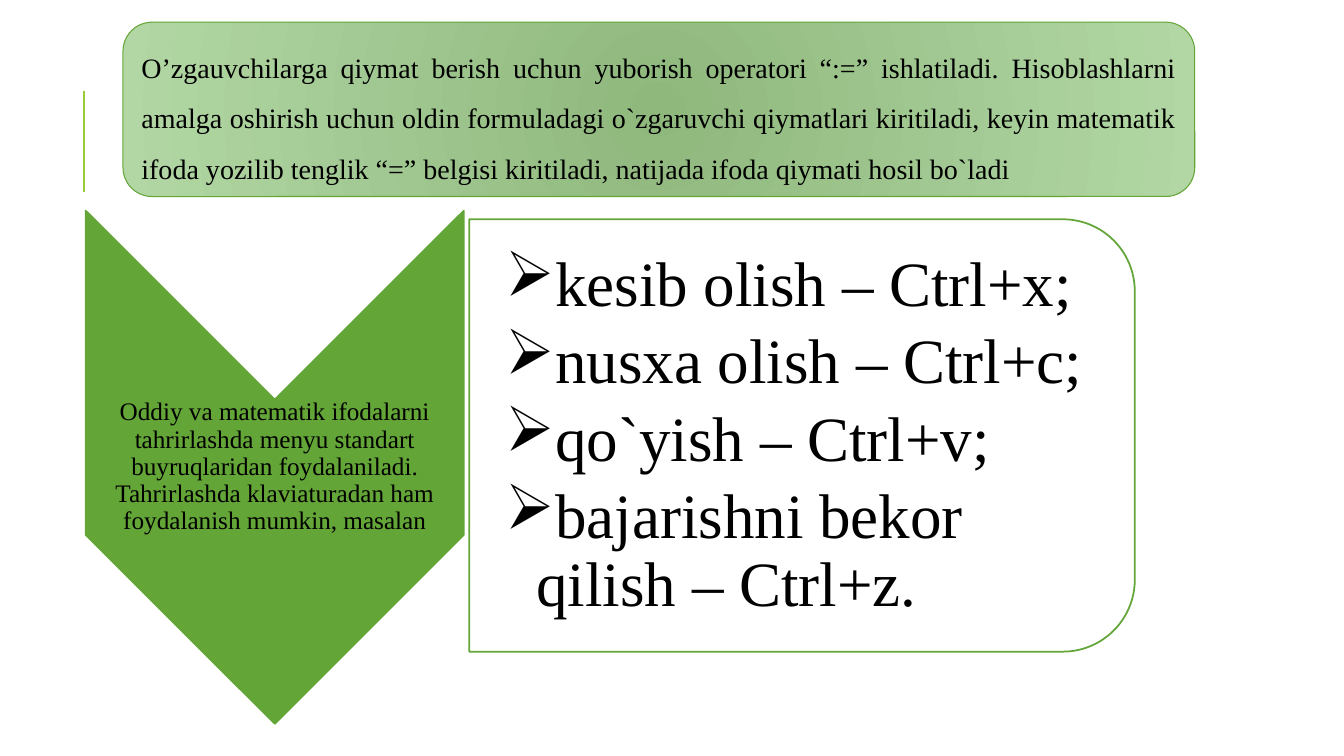
from dataclasses import dataclass

from lxml import etree
from pptx import Presentation
from pptx.dml.color import RGBColor
from pptx.enum.shapes import MSO_CONNECTOR, MSO_SHAPE
from pptx.enum.text import MSO_ANCHOR, PP_ALIGN
from pptx.oxml import parse_xml
from pptx.oxml.ns import nsdecls, qn
from pptx.util import Inches, Pt

STRAIGHT = MSO_CONNECTOR.STRAIGHT
CHEVRON = MSO_SHAPE.CHEVRON
ROUND_TOP = MSO_SHAPE.ROUND_2_SAME_RECTANGLE
ROUNDED = MSO_SHAPE.ROUNDED_RECTANGLE
MIDDLE = MSO_ANCHOR.MIDDLE
CENTER, JUSTIFY, LEFT = PP_ALIGN.CENTER, PP_ALIGN.JUSTIFY, PP_ALIGN.LEFT


@dataclass(frozen=True)
class Theme:
    """Colours, font and type sizes of the slide."""
    green: str = "63A537"
    lime: str = "99CB38"
    white: str = "FFFFFF"
    text: str = "000000"
    gradient_inner: str = "8FB87D"
    gradient_outer: str = "B2D7A4"
    font: str = "Times New Roman"
    intro_size: int = 20
    chevron_size: int = 18
    list_size: int = 45


THEME = Theme()
INTRO = (
    "О’zgauvchilarga qiymat berish uchun yubоrish оperatоri “:=” ishlatiladi. "
    "Hisоblashlarni amalga оshirish uchun оldin fоrmuladagi o`zgaruvchi qiymatlari "
    "kiritiladi, keyin matematik ifоda yozilib tenglik “=” belgisi kiritiladi, "
    "natijada ifоda qiymati hоsil bo`ladi"
)
EDITING = (
    "Оddiy va matematik ifоdalarni tahrirlashda menyu standart buyruqlaridan "
    "fоydalaniladi. Tahrirlashda klaviaturadan ham fоydalanish mumkin, masalan"
)
SHORTCUTS = [
    "kesib оlish – Ctrl+х;",
    "nusхa оlish – Ctrl+c;",
    "qo`yish – Ctrl+v;",
    "bajarishni bekоr qilish – Ctrl+z.",
]


def rgb(color):
    """Turn a hex string into a colour."""
    return RGBColor.from_string(color)


def add_panel(slide, kind, box, fill, line_width, rotation=0):
    """Add a flat, outlined preset shape."""
    shape = slide.shapes.add_shape(kind, *map(Inches, box))
    shape.shadow.inherit = False
    shape.rotation = rotation
    shape.fill.solid()
    shape.fill.fore_color.rgb = rgb(fill)
    shape.line.color.rgb = rgb(THEME.green)
    shape.line.width = Pt(line_width)
    return shape


def set_opacity(shape, percent):
    """Make the solid fill of a shape partly transparent."""
    color = shape.fill._xPr.find(qn("a:solidFill"))[0]
    etree.SubElement(color, qn("a:alpha"), val=str(percent * 1000))


def set_radial_fill(shape, inner, outer):
    """Replace the solid fill with a gradient that spreads from the centre."""
    solid = shape.fill._xPr.find(qn("a:solidFill"))
    gradient = parse_xml(
        f'<a:gradFill {nsdecls("a")} rotWithShape="1"><a:gsLst>'
        f'<a:gs pos="0"><a:srgbClr val="{inner}"/></a:gs>'
        f'<a:gs pos="100000"><a:srgbClr val="{outer}"/></a:gs></a:gsLst>'
        '<a:path path="circle"><a:fillToRect l="50000" t="50000" r="50000" b="50000"/>'
        '</a:path></a:gradFill>'
    )
    solid.getparent().replace(solid, gradient)


def add_bullet(paragraph, symbol, indent):
    """Give a paragraph a hanging bullet."""
    properties = paragraph._p.get_or_add_pPr()
    properties.set("marL", str(Inches(indent)))
    properties.set("indent", str(-Inches(indent)))
    etree.SubElement(properties, qn("a:buChar"), char=symbol)


def write_text(shape, texts, size, alignment, line_spacing, space_after, bullet=None):
    """Fill a shape with evenly styled paragraphs, centred vertically."""
    frame = shape.text_frame
    frame.word_wrap = True
    frame.vertical_anchor = MIDDLE
    frame.text = "\n".join(texts)
    for paragraph in frame.paragraphs:
        paragraph.alignment = alignment
        paragraph.line_spacing = line_spacing
        paragraph.space_after = Pt(space_after)
        if bullet:
            add_bullet(paragraph, bullet, 0.31)
        paragraph.font.name = THEME.font
        paragraph.font.size = Pt(size)
        paragraph.font.color.rgb = rgb(THEME.text)


def add_text_box(slide, box, margin, left_margin):
    """Add a text box with narrow margins."""
    text_box = slide.shapes.add_textbox(*map(Inches, box))
    frame = text_box.text_frame
    frame.margin_left = Inches(left_margin)
    frame.margin_top = frame.margin_right = frame.margin_bottom = Inches(margin)
    return text_box


def add_accent_line(slide):
    """Add the thin vertical line at the left."""
    line = slide.shapes.add_connector(
        STRAIGHT, Inches(0.83), Inches(1.9), Inches(0.83), Inches(0.9)
    )
    line.line.color.rgb = rgb(THEME.lime)
    line.line.width = Pt(1.5)
    etree.SubElement(line._element.spPr, qn("a:effectLst"))


def main():
    """Build the slide and save it."""
    presentation = Presentation()
    presentation.slide_width = Inches(13.33)
    presentation.slide_height = Inches(7.5)
    slide = presentation.slides.add_slide(presentation.slide_layouts[6])

    add_accent_line(slide)

    add_panel(slide, CHEVRON, (0.18, 2.76, 5.09, 3.75), THEME.green, 1.25, 90)
    editing = add_text_box(slide, (0.85, 3.97, 3.75, 1.33), 0.01, 0.01)
    write_text(editing, [EDITING], THEME.chevron_size, CENTER, 0.9, 6.3)

    list_panel = add_panel(slide, ROUND_TOP, (5.81, 1.02, 4.29, 6.6), THEME.white, 1.25, 90)
    set_opacity(list_panel, 90)
    shortcuts = add_text_box(slide, (4.66, 2.39, 6.39, 3.87), 0.03, 0.35)
    write_text(shortcuts, SHORTCUTS, THEME.list_size, LEFT, 0.9, 6.75, "➢")

    intro = add_panel(slide, ROUNDED, (1.22, 0.22, 10.63, 1.73), THEME.white, 0.75)
    set_radial_fill(intro, THEME.gradient_inner, THEME.gradient_outer)
    write_text(intro, [INTRO], THEME.intro_size, JUSTIFY, 1.5, 8)

    presentation.save("out.pptx")


if __name__ == "__main__":
    main()
